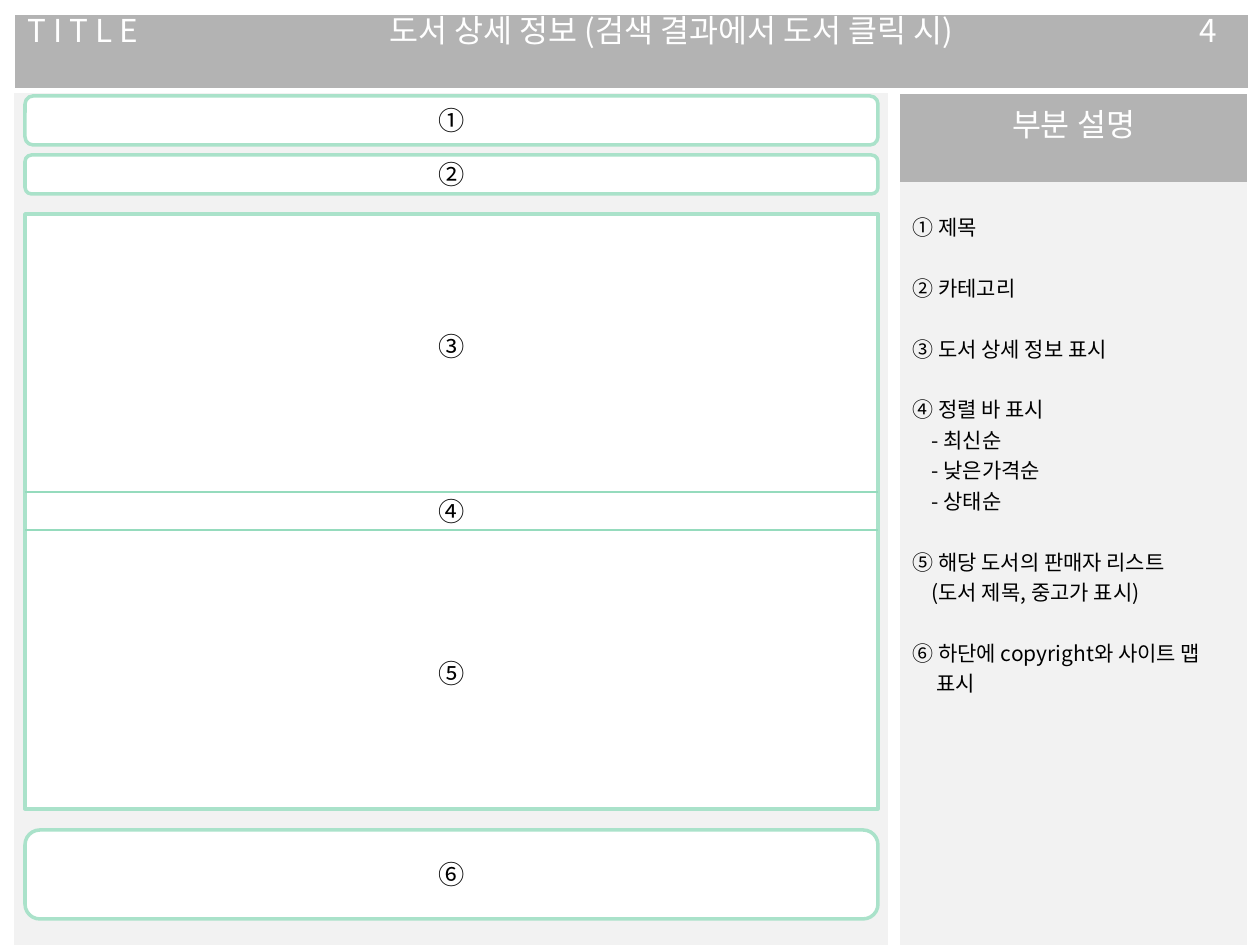
"""Builds the wireframe slide for the book detail page with its numbered legend."""
from dataclasses import dataclass
from typing import Any

from lxml import etree
from pptx import Presentation, util as u
from pptx.dml.color import RGBColor
from pptx.enum import shapes, text
from pptx.oxml.ns import qn

PX = u.Inches(1) / 126
WHITE = RGBColor(0xFF, 0xFF, 0xFF)
BLACK = RGBColor(0, 0, 0)
GRAY = RGBColor(0xB3, 0xB3, 0xB3)
PALE = RGBColor(0xF2, 0xF2, 0xF2)
MINT = RGBColor(0xAA, 0xE2, 0xCA)
DIVIDER = RGBColor(0x95, 0xDB, 0xBD)
PLAIN_TABLE = "{2D5ABB26-0587-4C30-8999-92F81FD0307C}"
CENTER = text.PP_ALIGN.CENTER
LEFT = text.PP_ALIGN.LEFT
ROUNDED = shapes.MSO_SHAPE.ROUNDED_RECTANGLE
RECTANGLE = shapes.MSO_SHAPE.RECTANGLE

FRAME_LEFT, FRAME_WIDTH = 25, 853
LEGEND = [
    ("① 제목", 0, False),
    ("② 카테고리", 0, True),
    ("③ 도서 상세 정보 표시", 0, True),
    ("④ 정렬 바 표시", 0, True),
    ("- 최신순", 19, False),
    ("- 낮은가격순", 19, False),
    ("- 상태순", 19, False),
    ("⑤ 해당 도서의 판매자 리스트", 0, True),
    ("(도서 제목, 중고가 표시)", 19, False),
    ("⑥ 하단에 copyright와 사이트 맵", 0, True),
    ("표시", 24, False),
]


def px(*lengths):
    """Turn pixel lengths into EMU."""
    return [u.Emu(round(length * PX)) for length in lengths]


@dataclass
class Painter:
    """Holds the text style and the slide being drawn."""

    slide: Any
    font: str = "Noto Sans CJK KR"

    def set_text(self, para, words, size, color=BLACK, align=CENTER):
        """Fill one paragraph with styled text."""
        para.text = words
        para.alignment = align
        para.font.size = u.Pt(size)
        para.font.name = self.font
        para.font.color.rgb = color
        style = para._p.pPr.find(qn("a:defRPr"))
        etree.SubElement(style, qn("a:ea")).set("typeface", self.font)

    def table(self, left, top, columns, rows, fills):
        """Add a borderless table with one fill per row."""
        box = px(left, top, sum(columns), sum(rows))
        table = self.slide.shapes.add_table(len(rows), len(columns), *box).table
        table.first_row = table.horz_banding = False
        table._tbl.tblPr.find(qn("a:tableStyleId")).text = PLAIN_TABLE
        for column, width in zip(table.columns, px(*columns)):
            column.width = width
        for row, height, fill in zip(table.rows, px(*rows), fills):
            row.height = height
            for cell in row.cells:
                cell.fill.solid()
                cell.fill.fore_color.rgb = fill
        return table

    def frame(self, kind, top, height, words=""):
        """Add a mint outlined area of the page."""
        box = self.slide.shapes.add_shape(kind, *px(FRAME_LEFT, top, FRAME_WIDTH, height))
        box.shadow.inherit = False
        box.fill.solid()
        box.fill.fore_color.rgb = WHITE
        box.line.color.rgb = MINT
        box.line.width = u.Pt(2)
        if words:
            box.text_frame.vertical_anchor = text.MSO_ANCHOR.MIDDLE
            self.set_text(box.text_frame.paragraphs[0], words, 15)

    def divider(self, top):
        """Add a thin line across the frame."""
        ends = px(FRAME_LEFT, top, FRAME_LEFT + FRAME_WIDTH, top)
        line = self.slide.shapes.add_connector(shapes.MSO_CONNECTOR.STRAIGHT, *ends)
        line.line.color.rgb = DIVIDER
        line.line.width = u.Pt(1)
        etree.SubElement(line._element.spPr, qn("a:effectLst"))

    def label(self, top, words):
        """Add a centred number on the frame."""
        box = self.slide.shapes.add_textbox(*px(382, top, 139, 44))
        box.text_frame.word_wrap = True
        self.set_text(box.text_frame.paragraphs[0], words, 15)

    def legend(self, cell):
        """Fill in the numbered explanations."""
        cell.margin_top = px(29)[0]
        frame = cell.text_frame
        for index, (words, indent, gap) in enumerate(LEGEND):
            para = frame.add_paragraph() if index else frame.paragraphs[0]
            self.set_text(para, words, 12, align=LEFT)
            if gap:
                para.space_before = u.Pt(17.4)
            if indent:
                para._p.pPr.set("marL", str(px(indent)[0]))


def main():
    """Draw the slide and save it."""
    deck = Presentation()
    deck.slide_width, deck.slide_height = u.Inches(10), u.Inches(7.5)
    painter = Painter(deck.slides.add_slide(deck.slide_layouts[6]))

    header = painter.table(15, 15, [159, 995, 79], [73], [GRAY])
    titles = ["T I T L E", "도서 상세 정보 (검색 결과에서 도서 클릭 시)", "4"]
    for cell, words, align in zip(header.rows[0].cells, titles, [LEFT, CENTER, CENTER]):
        para = cell.text_frame.paragraphs[0]
        painter.set_text(para, words, 18, WHITE, align)
        para.line_spacing = 0.58

    side = painter.table(900, 94, [347], [88, 793], [GRAY, PALE])
    painter.set_text(side.cell(0, 0).text_frame.paragraphs[0], "부분 설명", 18, WHITE)
    painter.legend(side.cell(1, 0))

    painter.table(14, 93, [874], [856], [PALE])
    painter.frame(ROUNDED, 96, 49, "①")
    painter.frame(ROUNDED, 155, 39, "②")
    painter.frame(RECTANGLE, 214, 595)
    painter.frame(ROUNDED, 830, 89, "⑥")
    for top, words in [(324, "③"), (489, "④"), (651, "⑤")]:
        painter.label(top, words)
    for top in (492, 530):
        painter.divider(top)

    deck.save("out.pptx")


if __name__ == "__main__":
    main()
